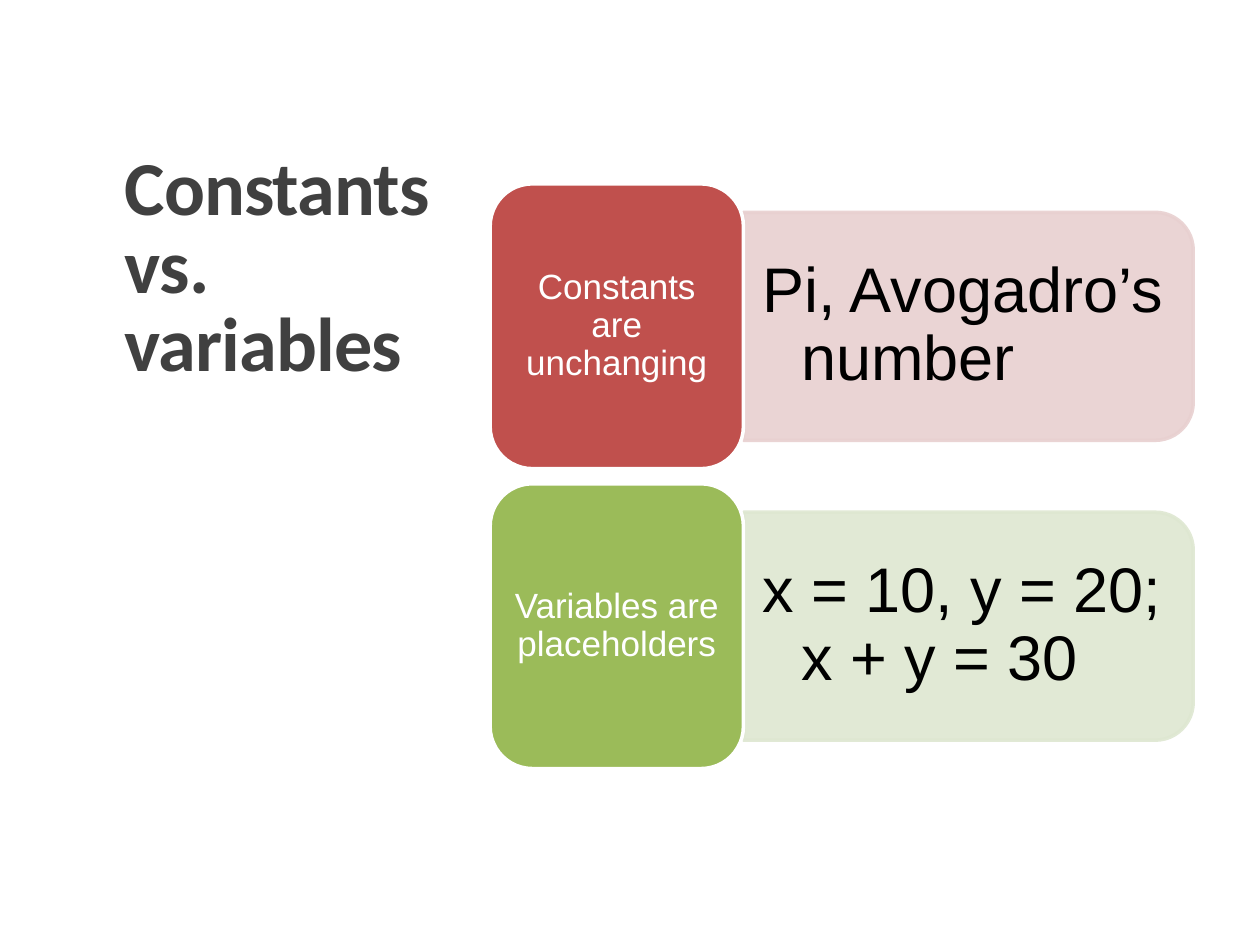
from lxml import etree
from pptx import Presentation
from pptx import util as u
from pptx.dml.color import RGBColor
from pptx.enum import shapes, text
from pptx.oxml.ns import qn

TITLE = "Constants vs. variables"
ROWS = [
    ("Constants are unchanging", "Pi, Avogadro\u2019s number", "C0504D", "E8D0D0"),
    ("Variables are placeholders", "x = 10, y = 20; x + y = 30", "9BBB59", "DEE7D1"),
]
LEFT, TOP = 3.89, 1.46
LABEL_WIDTH, LABEL_HEIGHT, ROW_STEP = 2.01, 2.26, 2.38
PANEL_WIDTH, PANEL_HEIGHT = 3.57, 1.81
TEXT_WIDTH, TEXT_HEIGHT = 3.48, 1.63


def inches(*lengths):
    """Turn numbers into inch lengths."""
    return [u.Inches(length) for length in lengths]


def color(hex_code):
    """Turn a hex string into a colour."""
    return RGBColor.from_string(hex_code)


def write(box, words, size, font, hex_code, insets, spacing, anchor):
    """Set one formatted paragraph and return it."""
    frame = box.text_frame
    frame.text = words
    frame.word_wrap = True
    frame.auto_size = text.MSO_AUTO_SIZE.NONE
    frame.vertical_anchor = anchor
    frame.margin_left = frame.margin_right = u.Inches(insets[0])
    frame.margin_top = frame.margin_bottom = u.Inches(insets[1])
    para = frame.paragraphs[0]
    para.line_spacing = spacing
    para.alignment = text.PP_ALIGN.LEFT
    span = para.runs[0].font
    span.size, span.name = u.Pt(size), font
    span.color.rgb = color(hex_code)
    return para


def add_box(page, kind, place, fill, line):
    """Add a filled shape with a 2 pt outline and no shadow."""
    box = page.shapes.add_shape(kind, *inches(*place))
    box.shadow.inherit = False
    box.fill.solid()
    box.fill.fore_color.rgb = color(fill)
    box.line.color.rgb = color(line)
    box.line.width = u.Pt(2)
    return box


def add_row(page, top, label, detail, strong, pale):
    """Add a label block with its detail panel, centred on each other."""
    middle = top + LABEL_HEIGHT / 2
    panel_left = LEFT + LABEL_WIDTH
    # The panel is turned a quarter, so its frame is upright.
    panel = add_box(page, shapes.MSO_SHAPE.ROUND_2_SAME_RECTANGLE,
                    (panel_left + (PANEL_WIDTH - PANEL_HEIGHT) / 2,
                     middle - PANEL_WIDTH / 2, PANEL_HEIGHT, PANEL_WIDTH), pale, pale)
    panel.rotation = 90
    for tone in panel._element.spPr.iter(qn("a:srgbClr")):
        etree.SubElement(tone, qn("a:alpha"), val="90000")

    box = page.shapes.add_textbox(
        *inches(panel_left, middle - TEXT_HEIGHT / 2, TEXT_WIDTH, TEXT_HEIGHT))
    para = write(box, detail, 36, "Arial", "000000", (0.15, 0.07), 0.9,
                 text.MSO_ANCHOR.MIDDLE)
    indent = u.Inches(0.31)
    props = para._p.get_or_add_pPr()
    props.set("marL", str(indent))
    props.set("indent", str(-indent))

    block = add_box(page, shapes.MSO_SHAPE.ROUNDED_RECTANGLE,
                    (LEFT, top, LABEL_WIDTH, LABEL_HEIGHT), strong, "FFFFFF")
    # The rounded corners already inset the text by about 0.1 inch.
    para = write(block, label, 20, "Arial", "FFFFFF", (0.07, 0.04), 0.9,
                 text.MSO_ANCHOR.MIDDLE)
    para.alignment = text.PP_ALIGN.CENTER


def add_title(page):
    """Place and format the title at the left."""
    title = page.shapes.title
    title.left, title.top, title.width, title.height = inches(0.9, 1.17, 2.83, 4.96)
    para = write(title, TITLE, 43.6, "Calibri", "404040", (0.09, 0.05), 0.85,
                 text.MSO_ANCHOR.TOP)
    para.space_after = u.Pt(5.4)
    para.runs[0].font.bold = True
    para.runs[0]._r.get_or_add_rPr().set("spc", "-50")


deck = Presentation()
deck.slide_width, deck.slide_height = inches(10, 7.5)
page = deck.slides.add_slide(deck.slide_layouts[5])
add_title(page)
for index, row in enumerate(ROWS):
    add_row(page, TOP + index * ROW_STEP, *row)
deck.save("out.pptx")
